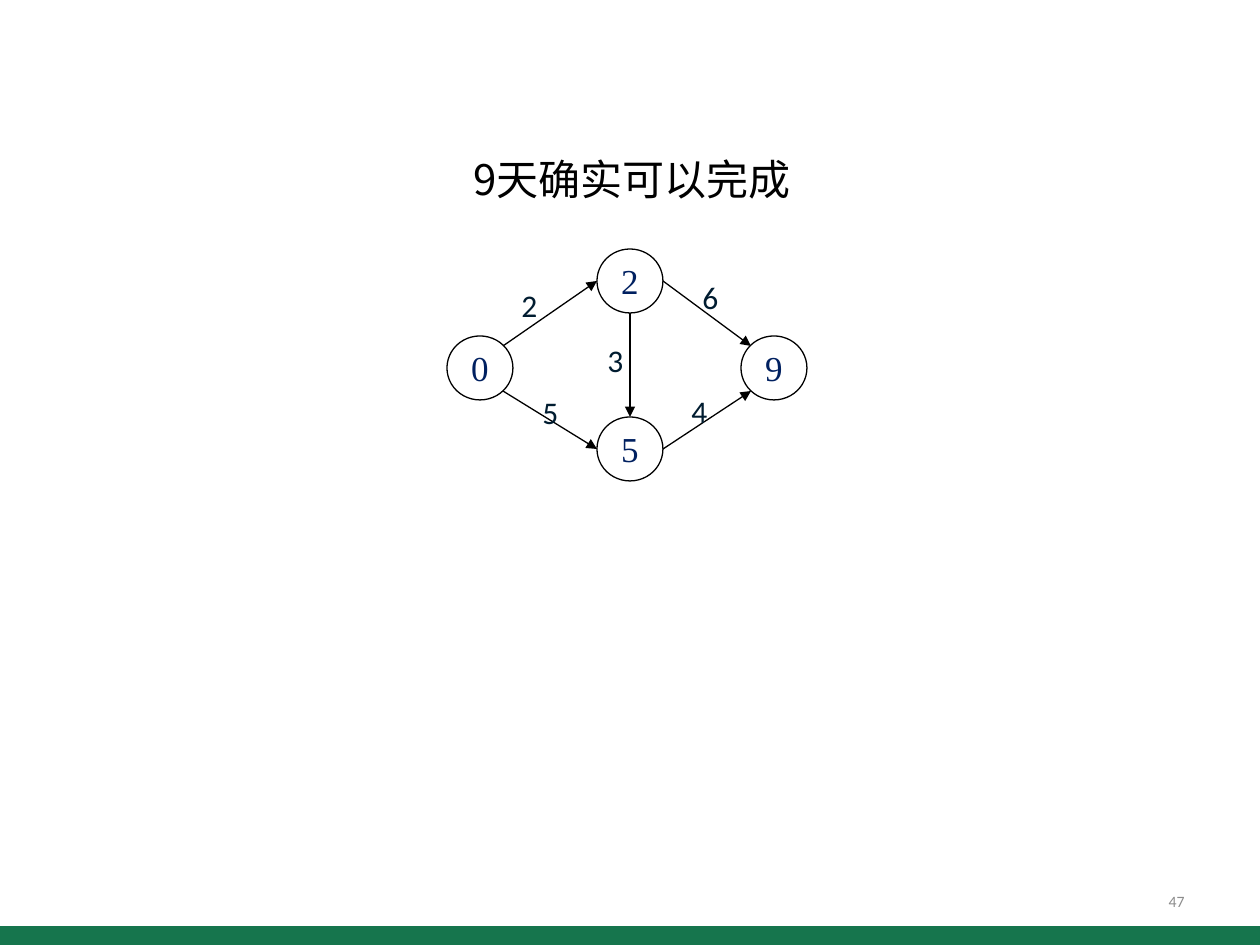
"""Build the slide with the four-node schedule graph."""
from lxml.etree import SubElement as Sub
from pptx import Presentation
from pptx.dml.color import RGBColor
from pptx.enum.shapes import MSO_CONNECTOR as Conn, MSO_SHAPE as Kind
from pptx.enum.text import MSO_ANCHOR as Anchor, MSO_AUTO_SIZE as Fit, PP_ALIGN as Align
from pptx.oxml.ns import qn
from pptx.util import Pt

BLACK = RGBColor(0x00, 0x00, 0x00)
GREEN = RGBColor(0x16, 0x75, 0x4D)
NAVY = RGBColor(0x00, 0x20, 0x60)
INK = RGBColor(0x00, 0x1C, 0x30)
GRAY = RGBColor(0x8C, 0x8C, 0x8C)
SCALE = 914400 / 126

HEAD = {"name": "Noto Sans CJK SC", "size": Pt(24), "color": BLACK}
NODE = {"name": "Times New Roman", "size": Pt(20), "color": NAVY}
COST = {"name": "Calibri", "size": Pt(18), "color": INK}
PAGE = {"name": "Calibri", "size": Pt(9), "color": GRAY}


def px(*vals):
    return [round(val * SCALE) for val in vals]


def write(shape, text, style, align=Align.LEFT, anchor=Anchor.TOP):
    frame = shape.text_frame
    frame.word_wrap = True
    frame.auto_size = Fit.NONE
    frame.vertical_anchor = anchor
    para = frame.paragraphs[0]
    para.alignment = align
    run = para.add_run()
    run.text = text
    for key, val in style.items():
        if key == "color":
            run.font.color.rgb = val
        else:
            setattr(run.font, key, val)
    Sub(run.font._element, qn("a:ea"), typeface=style["name"])


deck = Presentation()
deck.slide_width, deck.slide_height = px(1260, 945)
slide = deck.slides.add_slide(deck.slide_layouts[5])
shapes = slide.shapes

title = shapes.title
title.left, title.top, title.width, title.height = px(461, 147, 353, 63)
write(title, "9天确实可以完成", HEAD)

bar = shapes.add_shape(Kind.RECTANGLE, *px(0, 926, 1260, 19))
bar.shadow.inherit = False
bar.fill.solid()
bar.fill.fore_color.rgb = GREEN
bar.line.fill.background()

nodes = [("0", 447, 336), ("2", 597, 249), ("5", 597, 417), ("9", 741, 336)]
for text, left, top in nodes:
    node = shapes.add_shape(Kind.OVAL, *px(left, top, 66, 64))
    node.shadow.inherit = False
    node.fill.background()
    node.line.color.rgb = BLACK
    node.line.width = Pt(0.75)
    for side in ("left", "right", "top", "bottom"):
        setattr(node.text_frame, "margin_" + side, 0)
    write(node, text, NODE, Align.CENTER, Anchor.MIDDLE)

edges = [
    ("2", (503, 346, 597, 281), (509, 280)),
    ("5", (503, 391, 597, 449), (530, 387)),
    ("6", (663, 281, 751, 346), (690, 272)),
    ("4", (663, 449, 751, 391), (679, 386)),
    ("3", (630, 313, 630, 417), (595, 335)),
]
for text, ends, spot in edges:
    edge = shapes.add_connector(Conn.STRAIGHT, *px(*ends))
    edge.line.color.rgb = BLACK
    edge.line.width = Pt(0.75)
    Sub(edge.line._get_or_add_ln(), qn("a:tailEnd"), type="triangle")
    Sub(edge._element.spPr, qn("a:effectLst"))
    write(shapes.add_textbox(*px(*spot, 62, 50)), text, COST)

page = shapes.add_textbox(*px(903, 876, 294, 50))
write(page, "47", PAGE, Align.RIGHT, Anchor.MIDDLE)

deck.save("out.pptx")
